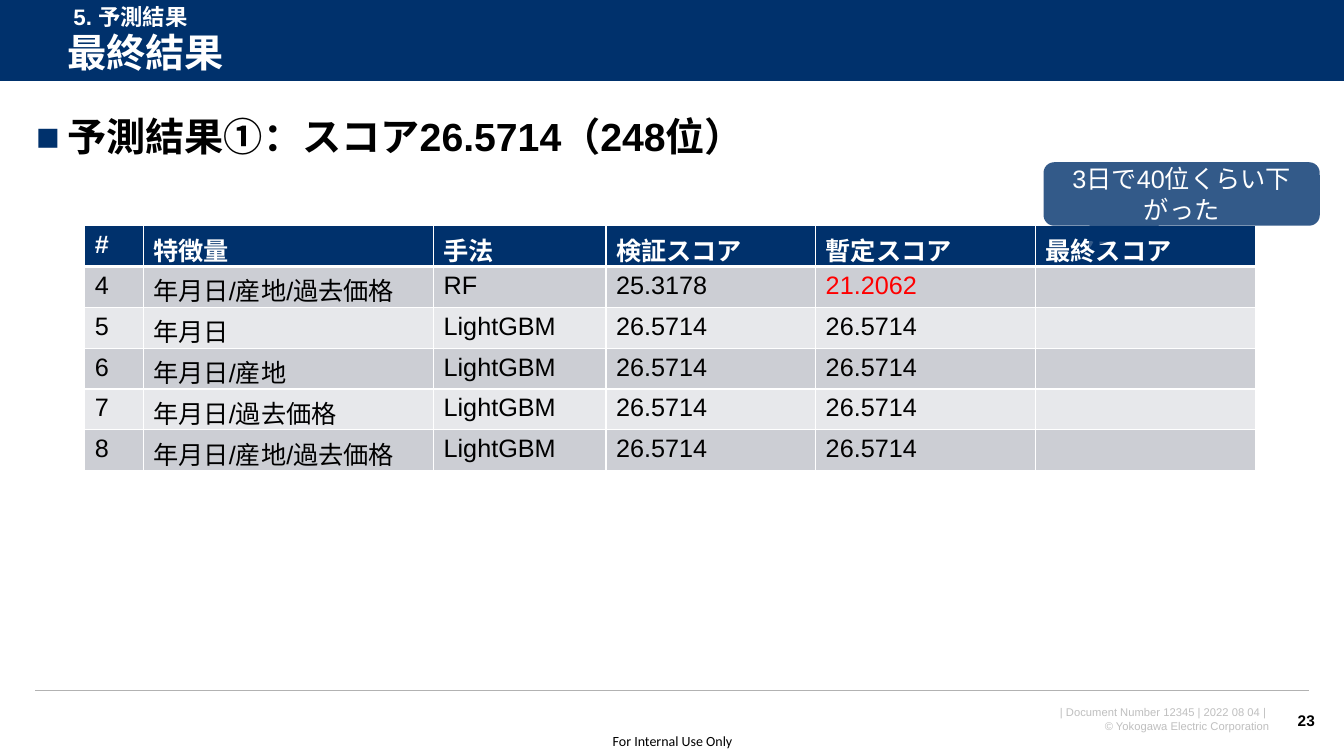
from lxml import etree
from pptx import Presentation
from pptx.dml.color import RGBColor
from pptx.enum.shapes import MSO_CONNECTOR, MSO_SHAPE
from pptx.enum.text import MSO_ANCHOR, PP_ALIGN
from pptx.oxml.ns import qn
from pptx.util import Inches, Pt

RECTANGLE = MSO_SHAPE.RECTANGLE
CALLOUT = MSO_SHAPE.ROUNDED_RECTANGULAR_CALLOUT
STRAIGHT = MSO_CONNECTOR.STRAIGHT
LEFT, CENTER, RIGHT = PP_ALIGN.LEFT, PP_ALIGN.CENTER, PP_ALIGN.RIGHT
TOP, MIDDLE = MSO_ANCHOR.TOP, MSO_ANCHOR.MIDDLE

SECTION = "5. 予測結果"
TITLE = "最終結果"
HEADLINE = "予測結果①：スコア26.5714（248位）"
REMARK = "3日で40位くらい下がった"
FOOTER = ["| Document Number 12345 | 2022 08 04 | ", "© Yokogawa Electric Corporation"]
CONFIDENTIALITY = "For Internal Use Only"
PAGE_NUMBER = "23"
HEADER = ("#", "特徴量", "手法", "検証スコア", "暫定スコア", "最終スコア")
RESULTS = [
    ("4", "年月日/産地/過去価格", "RF", "25.3178", "21.2062", ""),
    ("5", "年月日", "LightGBM", "26.5714", "26.5714", ""),
    ("6", "年月日/産地", "LightGBM", "26.5714", "26.5714", ""),
    ("7", "年月日/過去価格", "LightGBM", "26.5714", "26.5714", ""),
    ("8", "年月日/産地/過去価格", "LightGBM", "26.5714", "26.5714", ""),
]
BEST_SCORE = "21.2062"
COLUMN_WIDTHS = (0.58, 2.88, 1.71, 2.08, 2.18, 2.18)
ROW_HEIGHT = 0.405
SLIDE_WIDTH, SLIDE_HEIGHT = 13.33, 7.5
BANNER_HEIGHT = 0.81

THEME = {
    "font": "Arial", "note_font": "Calibri",
    "navy": "00316C", "white": "FFFFFF", "black": "000000", "red": "FF0000",
    "rule": "B2B2B2", "muted": "BFBFBF", "bands": ("CCCED4", "E7E8EB"),
    "title": 28, "section": 16, "body": 18, "page": 11, "note": 10, "footer": 8,
}


def color(name):
    return RGBColor.from_string(THEME.get(name, name))


def add_run(paragraph, text, size, ink, bold=False, font="font"):
    run = paragraph.add_run()
    run.text = text
    run.font.name = THEME[font]
    run.font.size = Pt(THEME[size])
    run.font.bold = bold
    run.font.color.rgb = color(ink)


def add_text(slide, box, lines, size, ink, bold=False, align=LEFT, anchor=TOP,
             font="font", wrap=True, spacing=None, margin=None):
    frame = slide.shapes.add_textbox(*map(Inches, box)).text_frame
    frame.word_wrap = wrap
    frame.vertical_anchor = anchor
    if margin is not None:
        frame.margin_left = frame.margin_right = Inches(margin)
        frame.margin_top = frame.margin_bottom = Inches(margin)
    for index, line in enumerate(lines):
        paragraph = frame.add_paragraph() if index else frame.paragraphs[0]
        paragraph.alignment = align
        if spacing:
            paragraph.line_spacing = spacing
        add_run(paragraph, line, size, ink, bold, font)
    return frame


def add_bullet(paragraph, symbol, ink, indent):
    properties = paragraph._p.get_or_add_pPr()
    properties.set("marL", str(Inches(indent)))
    properties.set("indent", str(-Inches(indent)))
    bullet_color = etree.SubElement(properties, qn("a:buClr"))
    etree.SubElement(bullet_color, qn("a:srgbClr"), val=THEME[ink])
    etree.SubElement(properties, qn("a:buFont"), typeface=THEME["font"])
    etree.SubElement(properties, qn("a:buChar"), char=symbol)


def add_shape(slide, kind, box, ink):
    shape = slide.shapes.add_shape(kind, *map(Inches, box))
    shape.shadow.inherit = False
    shape.fill.solid()
    shape.fill.fore_color.rgb = color(ink)
    shape.line.fill.background()
    return shape


def add_rule(slide, left, right, top, ink, width):
    ends = map(Inches, (left, top, right, top))
    connector = slide.shapes.add_connector(STRAIGHT, *ends)
    connector.line.color.rgb = color(ink)
    connector.line.width = Pt(width)
    etree.SubElement(connector._element.spPr, qn("a:effectLst"))


def set_borders(cell, ink, bottom):
    properties = cell._tc.get_or_add_tcPr()
    widths = {"a:lnL": 1, "a:lnR": 1, "a:lnT": 1, "a:lnB": bottom}
    for index, (tag, width) in enumerate(widths.items()):
        border = etree.Element(qn(tag), w=str(Pt(width)))
        fill = etree.SubElement(border, qn("a:solidFill"))
        etree.SubElement(fill, qn("a:srgbClr"), val=THEME[ink])
        properties.insert(index, border)


def add_results(slide, left, top):
    rows = [HEADER, *RESULTS]
    box = (left, top, sum(COLUMN_WIDTHS), ROW_HEIGHT * len(rows))
    table = slide.shapes.add_table(len(rows), len(HEADER), *map(Inches, box)).table
    for column, width in zip(table.columns, COLUMN_WIDTHS):
        column.width = Inches(width)
    for row_index, values in enumerate(rows):
        table.rows[row_index].height = Inches(ROW_HEIGHT)
        is_header = row_index == 0
        band = "navy" if is_header else THEME["bands"][(row_index - 1) % 2]
        for column_index, value in enumerate(values):
            cell = table.cell(row_index, column_index)
            cell.fill.solid()
            cell.fill.fore_color.rgb = color(band)
            header_line = 3 if row_index == 0 else 1
            set_borders(cell, "white", header_line)
            paragraph = cell.text_frame.paragraphs[0]
            if value:
                ink = "white" if is_header else "red" if value == BEST_SCORE else "black"
                add_run(paragraph, value, "body", ink, is_header)
            else:
                paragraph.font.size = Pt(THEME["body"])


def add_remark(slide, box):
    callout = add_shape(slide, CALLOUT, box, "navy")
    for index, value in enumerate((-0.336, 0.852, 0.167)):
        callout.adjustments[index] = value
    fill_color = callout._element.spPr.find(qn("a:solidFill"))[0]
    etree.SubElement(fill_color, qn("a:alpha"), val="80000")
    frame = callout.text_frame
    frame.word_wrap = True
    frame.vertical_anchor = MIDDLE
    frame.paragraphs[0].alignment = CENTER
    add_run(frame.paragraphs[0], REMARK, "body", "white")


def main():
    presentation = Presentation()
    presentation.slide_width = Inches(SLIDE_WIDTH)
    presentation.slide_height = Inches(SLIDE_HEIGHT)
    slide = presentation.slides.add_slide(presentation.slide_layouts[6])

    add_text(slide, (9.48, 6.95, 3.21, 0.37), FOOTER, "footer", "muted", align=RIGHT)
    add_text(slide, (5.91, 7.21, 1.52, 0.29), [CONFIDENTIALITY], "note", "black",
             align=CENTER, anchor=MIDDLE, font="note_font", margin=0)
    add_shape(slide, RECTANGLE, (0, 0, SLIDE_WIDTH, BANNER_HEIGHT), "navy")
    add_rule(slide, 0, SLIDE_WIDTH, BANNER_HEIGHT, "white", 0.75)
    add_rule(slide, 0.35, 12.98, 6.85, "rule", 1)
    add_text(slide, (0.57, 0.26, 12.47, 0.57), [TITLE], "title", "white",
             bold=True, anchor=MIDDLE, spacing=0.9)
    add_text(slide, (12.7, 6.95, 0.44, 0.4), [PAGE_NUMBER], "page", "black",
             bold=True, align=RIGHT, anchor=MIDDLE, wrap=False)
    headline = add_text(slide, (0.26, 1.12, 12.78, 0.57), [HEADLINE], "title", "black",
                        bold=True, spacing=0.9)
    add_bullet(headline.paragraphs[0], "■", "navy", 0.31)
    add_text(slide, (0.63, -0.02, 3.1, 0.37), [SECTION], "section", "white", bold=True)
    add_results(slide, 0.84, 2.24)
    add_remark(slide, (10.35, 1.61, 2.74, 0.63))
    presentation.save("out.pptx")


if __name__ == "__main__":
    main()
